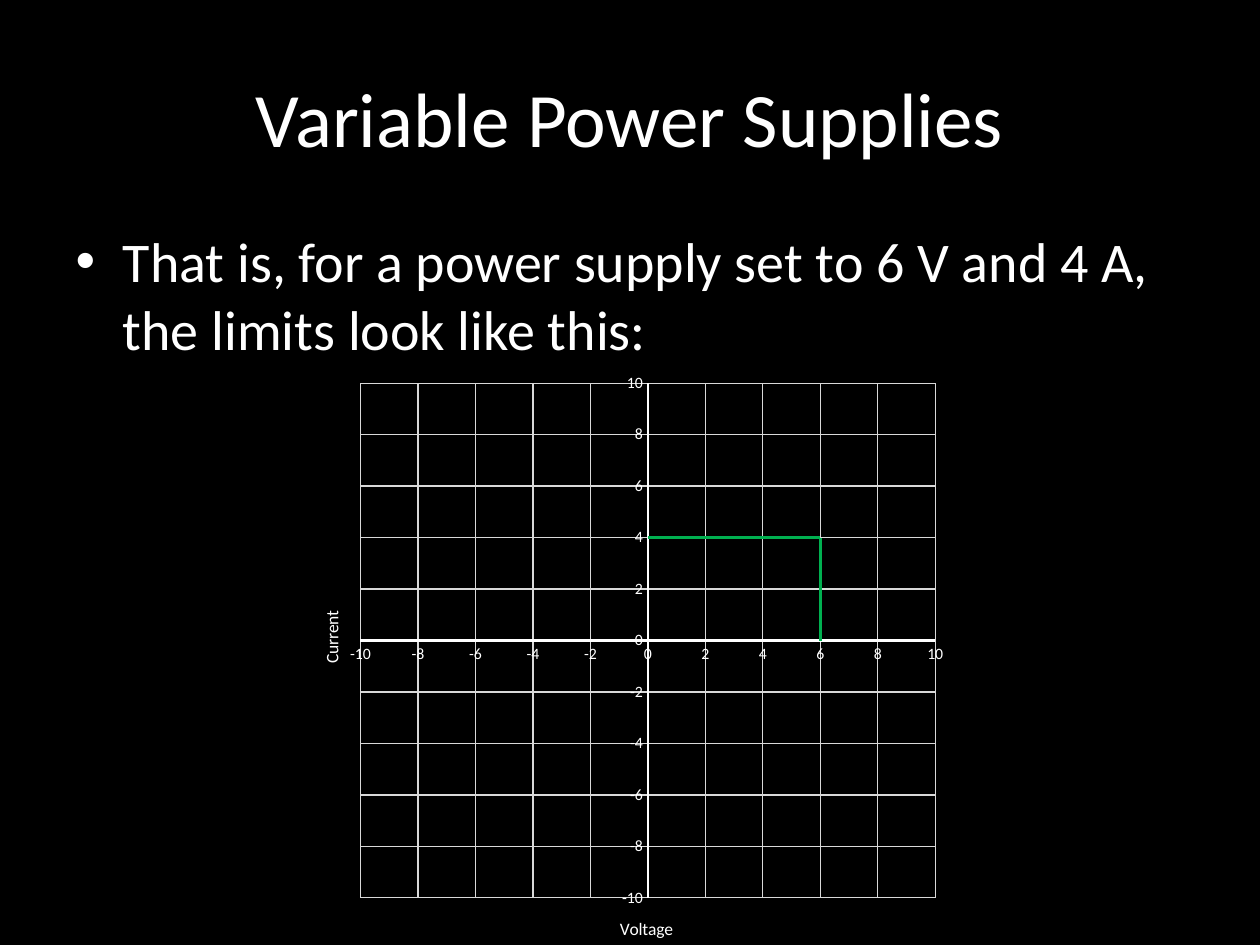
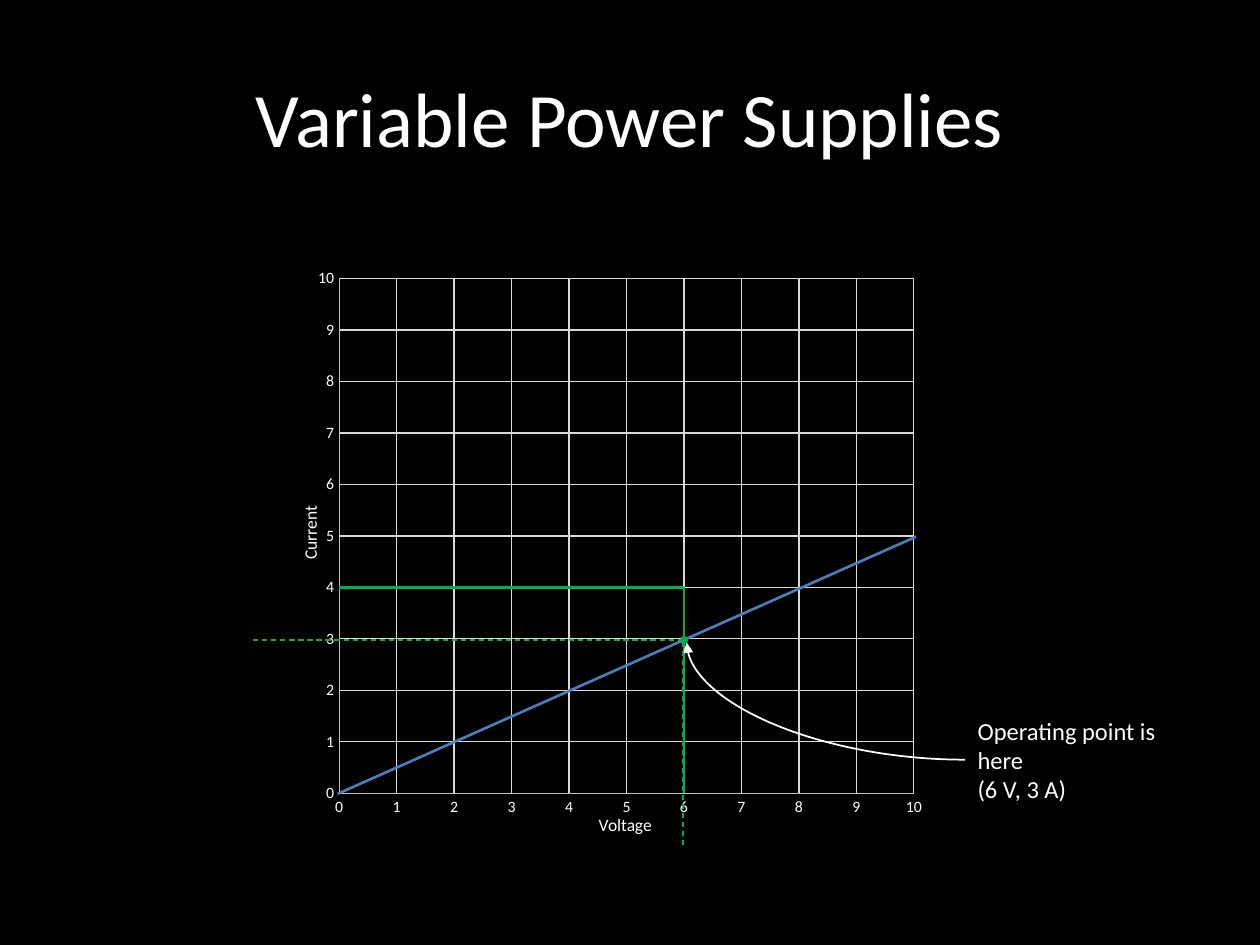
from pptx import Presentation
from pptx.chart.data import XyChartData
from pptx.dml.color import RGBColor
from pptx.enum.chart import XL_CHART_TYPE as ChartType, XL_TICK_MARK as TickMark
from pptx.enum.dml import MSO_LINE_DASH_STYLE as Dash
from pptx.enum.shapes import MSO_CONNECTOR as Connector, MSO_SHAPE as Shape
from pptx.enum.text import MSO_ANCHOR as Anchor, MSO_AUTO_SIZE as AutoSize, PP_ALIGN as Align
from pptx.oxml.ns import qn
from pptx.util import Inches, Pt
from lxml import etree

BLACK = RGBColor(0x00, 0x00, 0x00)
WHITE = RGBColor(0xFF, 0xFF, 0xFF)
GREEN = RGBColor(0x00, 0xB0, 0x50)
BLUE = RGBColor(0x4B, 0x7E, 0xBC)
GRID_GREY = RGBColor(0xD9, 0xD9, 0xD9)
AXIS_GREY = RGBColor(0xBF, 0xBF, 0xBF)
FONT = "Calibri"
TITLE = "Variable Power Supplies"
LIMIT_VOLTS, LIMIT_AMPS = 6, 4


def set_layout(parent, **values):
    """Give a chart part a manual layout, in fractions of the chart."""
    layout = parent.find(qn("c:layout"))
    if layout is None:
        layout = etree.Element(qn("c:layout"))
        parent.insert(0, layout)
    manual = etree.SubElement(layout, qn("c:manualLayout"))
    for name, value in values.items():
        etree.SubElement(manual, qn(f"c:{name}")).set("val", str(value))


class SlideBuilder:
    def __init__(self):
        self.deck = Presentation()
        self.deck.slide_width, self.deck.slide_height = Inches(10), Inches(7.5)
        background = self.deck.slide_master.background.fill
        background.solid()
        background.fore_color.rgb = BLACK
        self.page = None

    def add_page(self, layout_name):
        layout = self.deck.slide_layouts.get_by_name(layout_name)
        self.page = self.deck.slides.add_slide(layout)
        title = self.page.shapes.title
        self.place(title, 0.5, 0.3, 9, 1.25)
        title.text_frame.vertical_anchor = Anchor.MIDDLE
        self.add_text(title.text_frame, [TITLE], 44, Align.CENTER)

    def place(self, box, left, top, width, height):
        box.left, box.top = Inches(left), Inches(top)
        box.width, box.height = Inches(width), Inches(height)

    def style_font(self, font, size, color=WHITE):
        font.name, font.size, font.bold = FONT, Pt(size), False
        font.color.rgb = color

    def add_text(self, frame, lines, size, align=None):
        for index, line in enumerate(lines):
            para = frame.add_paragraph() if index else frame.paragraphs[0]
            para.alignment = align
            span = para.add_run()
            span.text = line
            self.style_font(span.font, size)

    def add_bullets(self, lines, *area):
        body = self.page.placeholders[1]
        self.place(body, *area)
        body.text_frame.auto_size = AutoSize.NONE
        self.add_text(body.text_frame, lines, 32)

    def add_label(self, lines, *area):
        box = self.page.shapes.add_textbox(*map(Inches, area))
        box.text_frame.word_wrap = True
        self.add_text(box.text_frame, lines, 14)

    def add_line(self, start, end, color, width, dash=None, kind=Connector.STRAIGHT):
        line = self.page.shapes.add_connector(kind, *map(Inches, start + end))
        line.line.color.rgb, line.line.width = color, Pt(width)
        if dash:
            line.line.dash_style = dash
        etree.SubElement(line._element.spPr, qn("a:effectLst"))
        return line

    def add_curved_arrow(self, start, end):
        """Leave start horizontally and reach end vertically."""
        arrow = self.add_line(start, end, WHITE, 1, kind=Connector.CURVE)
        properties = arrow._element.spPr
        properties.find(qn("a:prstGeom")).set("prst", "curvedConnector2")
        etree.SubElement(properties.find(qn("a:ln")), qn("a:tailEnd")).set("type", "triangle")

    def add_dot(self, *area):
        dot = self.page.shapes.add_shape(Shape.OVAL, *map(Inches, area))
        dot.shadow.inherit = False
        dot.fill.solid()
        dot.fill.fore_color.rgb = GREEN
        dot.line.fill.background()

    def style_axis(self, axis, name, low, step, line_color, line_width, title_at):
        axis.minimum_scale, axis.maximum_scale, axis.major_unit = low, 10, step
        axis.major_tick_mark = axis.minor_tick_mark = TickMark.NONE
        self.style_font(axis.tick_labels.font, 9)
        axis.format.line.color.rgb, axis.format.line.width = line_color, Pt(line_width)
        axis.has_major_gridlines = True
        grid = axis.major_gridlines.format.line
        grid.color.rgb, grid.width = GRID_GREY, Pt(0.75)
        self.add_text(axis.axis_title.text_frame, [name], 10)
        x, y = title_at
        set_layout(axis.axis_title._element, xMode="edge", yMode="edge", x=x, y=y)

    def add_limits_chart(self, left, top, low, step, line_color, line_width):
        """Plot the voltage and current limits of the supply."""
        data = XyChartData()
        corner = (LIMIT_VOLTS, LIMIT_AMPS)
        limits = {"Series 1": (LIMIT_VOLTS, 0), "Series 2": (0, LIMIT_AMPS)}
        for name, start in limits.items():
            series = data.add_series(name)
            for point in (start, corner):
                series.add_data_point(*point)
        frame = self.page.shapes.add_chart(
            ChartType.XY_SCATTER_SMOOTH_NO_MARKERS,
            Inches(left), Inches(top), Inches(5.28), Inches(4.61), data)
        chart = frame.chart
        chart.has_legend = chart.has_title = False
        self.style_font(chart.font, 10, BLACK)
        chart.plots[0].vary_by_categories = False
        for series in chart.plots[0].series:
            series.format.line.color.rgb = GREEN
            series.format.line.width = Pt(1.5)
        scale = (low, step, line_color, line_width)
        self.style_axis(chart.category_axis, "Voltage", *scale, (0.48, 0.95))
        self.style_axis(chart.value_axis, "Current", *scale, (0.03, 0.42))
        plot_area = chart._chartSpace.chart.plotArea
        set_layout(plot_area, layoutTarget="inner", xMode="edge", yMode="edge",
                   x=0.095, y=0.033, w=0.864, h=0.888)


def main():
    builder = SlideBuilder()

    builder.add_page("Title and Content")
    builder.add_bullets(
        ["That is, for a power supply set to 6 V and 4 A, the limits look like this:"],
        0.5, 1.75, 9, 1.26)
    builder.add_limits_chart(2.36, 2.89, -10, 2, WHITE, 1.5)

    builder.add_page("Title Only")
    builder.add_limits_chart(2.19, 2.06, 0, 1, AXIS_GREY, 0.75)
    builder.add_line((2.68, 6.3), (7.27, 4.26), BLUE, 1.5)
    builder.add_dot(5.4, 5.05, 0.06, 0.06)
    builder.add_curved_arrow((7.66, 6.03), (5.45, 5.1))
    builder.add_label(["Operating point is here", "(6 V, 3 A)"], 7.66, 5.63, 1.62, 0.81)
    builder.add_line((2.01, 5.08), (5.45, 5.08), GREEN, 0.75, Dash.DASH)
    builder.add_line((5.42, 6.71), (5.42, 5.08), GREEN, 0.75, Dash.DASH)

    builder.deck.save("out.pptx")


if __name__ == "__main__":
    main()
